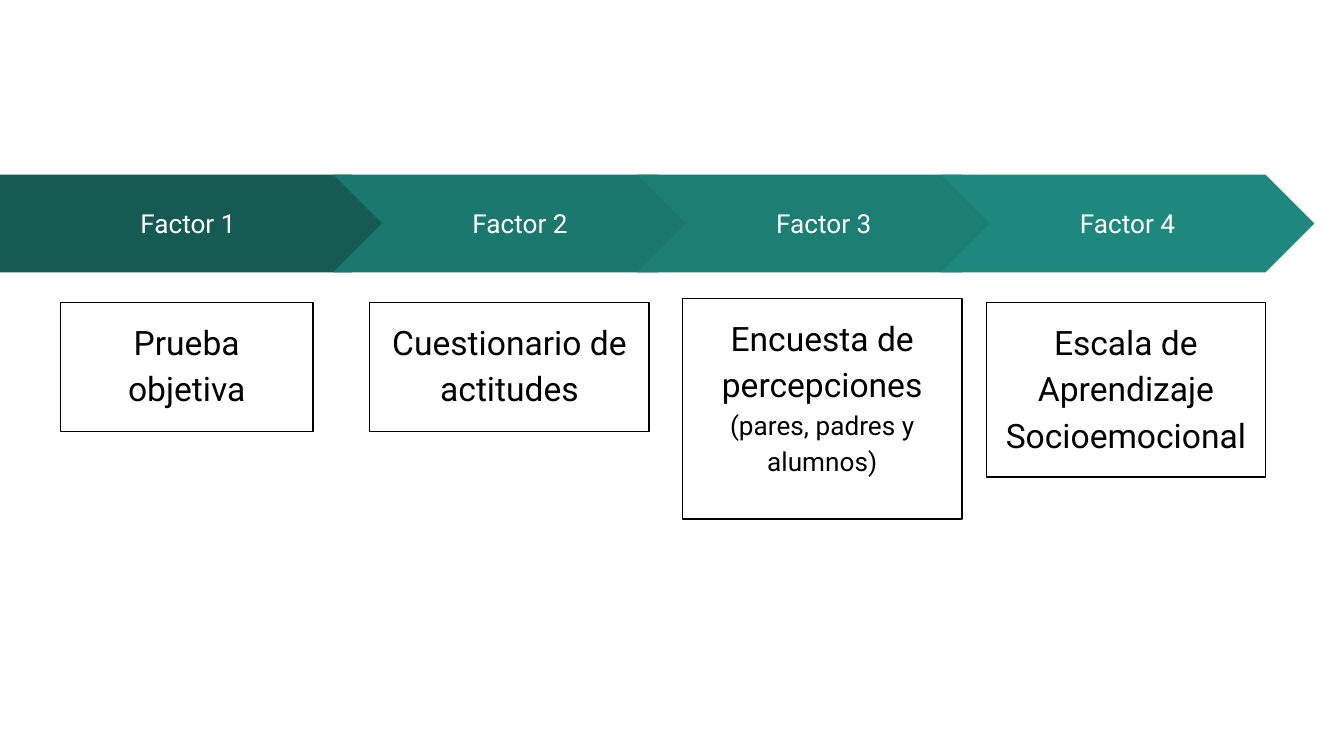
import pptx
import pptx.util
import pptx.dml.color
import pptx.enum.shapes
import pptx.enum.text

Cm = pptx.util.Cm
Pt = pptx.util.Pt
Kind = pptx.enum.shapes.MSO_SHAPE
Anchor = pptx.enum.text.MSO_ANCHOR
Align = pptx.enum.text.PP_ALIGN


def tint(code):
    return pptx.dml.color.RGBColor.from_string(code)


def draw(group, kind, area, lines, color, anchor, space):
    shape = group.shapes.add_shape(kind, *[Cm(side) for side in area])
    shape.shadow.inherit = False
    frame = shape.text_frame
    form = {
        "word_wrap": True,
        "vertical_anchor": anchor,
        "margin_left": Cm(0.25),
        "margin_right": Cm(0.25),
        "margin_top": Cm(0.25),
        "margin_bottom": Cm(0.25),
    }
    for name, value in form.items():
        setattr(frame, name, value)
    for index, (words, size) in enumerate(lines):
        para = frame.add_paragraph() if index else frame.paragraphs[0]
        para.alignment = Align.CENTER
        para.line_spacing = space
        run = para.add_run()
        run.text = words
        for name, value in {"name": "Roboto", "size": Pt(size)}.items():
            setattr(run.font, name, value)
        run.font.color.rgb = tint(color)
    return shape


deck = pptx.Presentation()
deck.slide_width = Cm(25.4)
deck.slide_height = Cm(14.29)
slide = deck.slides.add_slide(deck.slide_layouts[6])

steps = [
    ("155B54", (1.14, 5.72, 4.78, 2.44), [("Prueba objetiva", 18)]),
    ("1B786E", (6.99, 5.72, 5.28, 2.44), [("Cuestionario de actitudes", 18)]),
    ("1D7E74", (12.9, 5.64, 5.28, 4.17),
     [("Encuesta de percepciones", 18), ("(pares, padres y alumnos)", 14)]),
    ("1F887E", (18.64, 5.72, 5.28, 3.3),
     [("Escala de Aprendizaje Socioemocional", 18)]),
]

for index, (color, area, lines) in enumerate(steps):
    group = slide.shapes.add_group_shape()
    if index:
        kind, left, width = Kind.CHEVRON, 6.3 + 5.74 * (index - 1), 7.06
    else:
        kind, left, width = Kind.PENTAGON, 0, 7.57
    title = [(f"Factor {index + 1}", 14)]
    arrow = draw(group, kind, (left, 3.3, width, 1.85), title, "FFFFFF", Anchor.MIDDLE, 1.0)
    arrow.adjustments[0] = 0.5
    arrow.fill.solid()
    arrow.fill.fore_color.rgb = tint(color)
    arrow.line.fill.background()

    box = draw(group, Kind.RECTANGLE, area, lines, "000000", Anchor.TOP, 1.15)
    box.fill.background()
    box.line.color.rgb = tint("000000")
    box.line.width = Pt(0.75)

deck.save("out.pptx")
